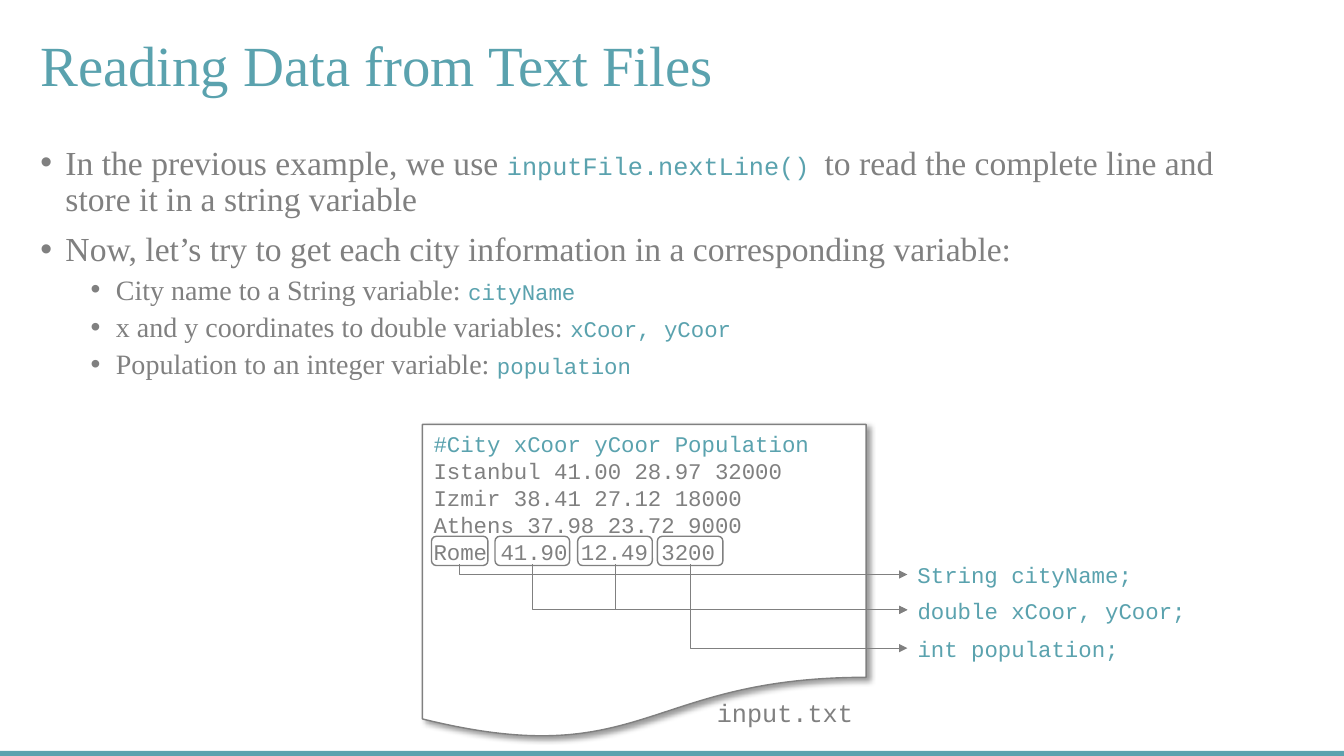
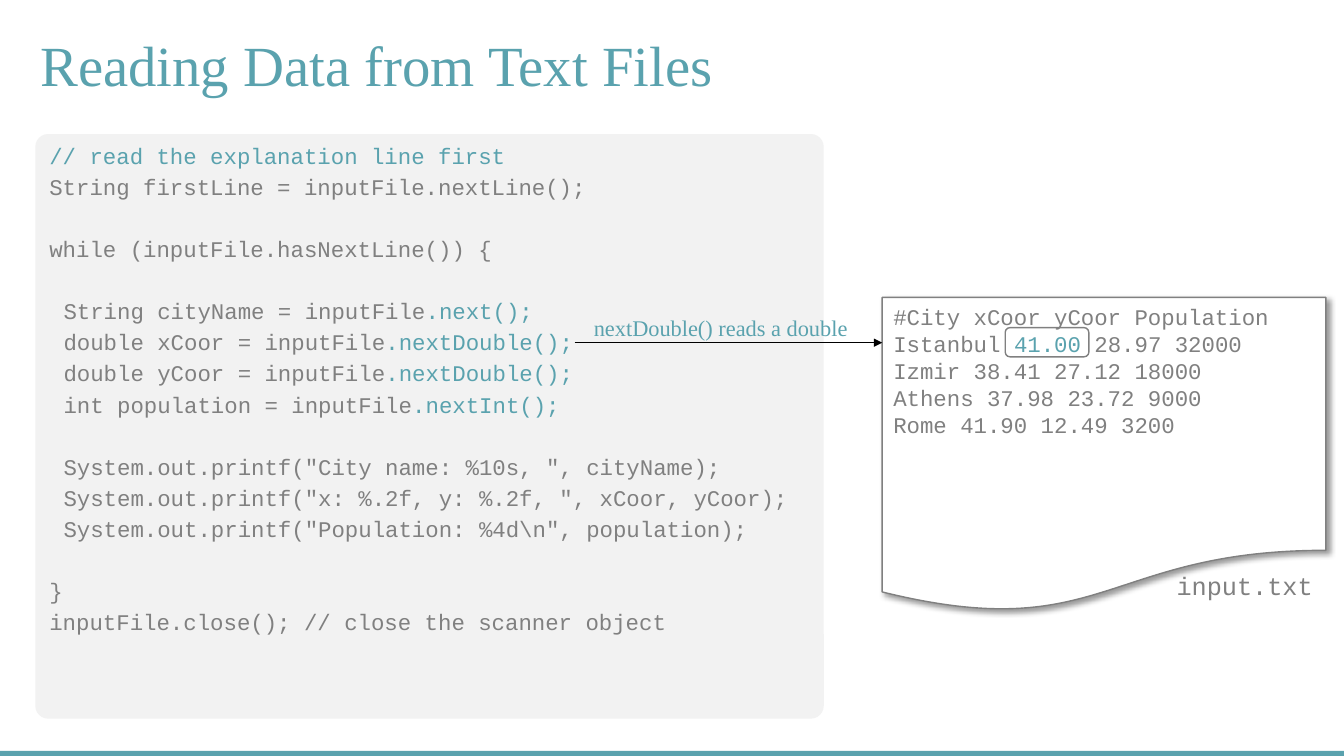
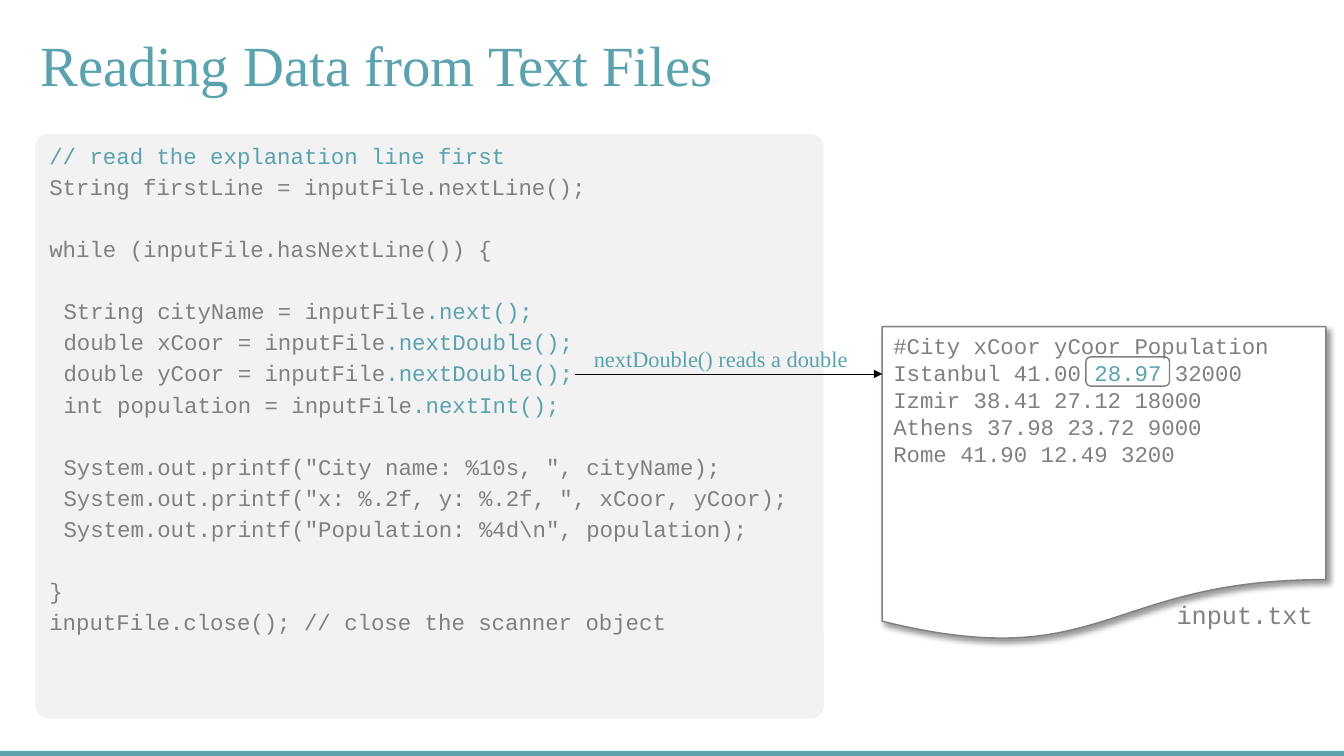
"""Builds three slides on reading data from text files."""
from lxml.etree import SubElement
from pptx import Presentation
from pptx.dml.color import RGBColor
from pptx.enum.shapes import MSO_CONNECTOR, MSO_SHAPE
from pptx.enum.text import MSO_ANCHOR
from pptx.oxml import parse_xml
from pptx.oxml.ns import nsdecls, qn
from pptx.util import Inches, Pt

TEAL, GREY, PALE, WHITE, BLACK = "5AA2AE", "808080", "F2F2F2", "FFFFFF", "000000"
SERIF, MONO = "Times New Roman", "Courier New"
TITLE = "Reading Data from Text Files"

POINTS = [
    (0, "In the previous example, we use `inputFile.nextLine() `to read the complete line and store it in a string variable"),
    (0, "Now, let’s try to get each city information in a corresponding variable:"),
    (1, "City name to a String variable: `cityName`"),
    (1, "x and y coordinates to double variables: `xCoor, yCoor`"),
    (1, "Population to an integer variable: `population`"),
]
LEVELS = [
    {"size": 24, "code": 18, "left": 0.25, "gap": 10},
    {"size": 20, "code": 16, "left": 0.75, "gap": 5},
]
CITIES = [
    "#City xCoor yCoor Population",
    "Istanbul 41.00 28.97 32000",
    "Izmir 38.41 27.12 18000",
    "Athens 37.98 23.72 9000",
    "Rome 41.90 12.49 3200",
]
FIELDS = [(4.28, 0.56, 5.7), (4.91, 0.74, 6.05), (5.73, 0.74, 6.05), (6.52, 0.65, 6.43)]
TYPES = [("String cityName;", 5.7), ("double xCoor, yCoor;", 6.05), ("int population;", 6.43)]
CODE = [
    ["`// read the explanation line first`",
     "String firstLine = inputFile.nextLine();"],
    ["while (inputFile.hasNextLine()) {"],
    ["> String cityName = inputFile`.next();`",
     "> double xCoor = inputFile`.nextDouble();`",
     "> double yCoor = inputFile`.nextDouble();`",
     "> int population = inputFile`.nextInt();`"],
    ["> System.out.printf(\"City name: %10s, \", cityName);",
     "> System.out.printf(\"x: %.2f, y: %.2f, \", xCoor, yCoor);",
     "> System.out.printf(\"Population: %4d\\n\", population);"],
    ["}",
     "inputFile.close(); // close the scanner object"],
]
READS = [
    {"value": "41.00", "top": 2.95, "ring": 9.97, "arrow": 3.4},
    {"value": "28.97", "top": 3.24, "ring": 10.77, "arrow": 3.71},
]
GAP, BREAK = 3, 25.2


def color(code):
    return RGBColor.from_string(code)


def area(*box):
    return [Inches(n) for n in box]


def shape(slide, kind, box, fill=None, line=None, round=None):
    item = slide.shapes.add_shape(kind, *area(*box))
    item.shadow.inherit = False
    if round is not None:
        item.adjustments[0] = round
    paint(item, fill, line, 1)
    return item


def paint(item, fill, line, width):
    if fill:
        item.fill.solid()
        item.fill.fore_color.rgb = color(fill)
    else:
        item.fill.background()
    if line:
        item.line.color.rgb = color(line)
        item.line.width = Pt(width)
    else:
        item.line.fill.background()


def frame(slide, box, wrap=True):
    text = slide.shapes.add_textbox(*area(*box)).text_frame
    text.word_wrap = wrap
    text.margin_left = text.margin_right = Inches(0.05)
    text.margin_top = text.margin_bottom = Inches(0.05)
    return text


def fill_para(para, words, size, font=MONO, code=None):
    for index, part in enumerate(words.split("`")):
        if part:
            run = para.add_run()
            run.text = part
            accent = index % 2 == 1
            run.font.size = Pt(code if accent and code else size)
            run.font.name = MONO if accent else font
            run.font.color.rgb = color(TEAL if accent else GREY)


def paras(text, lines):
    for index, line in enumerate(lines):
        yield text.add_paragraph() if index else text.paragraphs[0], line


def label(slide, box, words, size, font=MONO, tint=TEAL, wrap=False):
    text = frame(slide, box, wrap)
    para = text.paragraphs[0]
    para.text = words
    style = para.runs[0].font
    style.size, style.name, style.color.rgb = Pt(size), font, color(tint)
    return text


def arrow_tip(item):
    SubElement(item.line._get_or_add_ln(), qn("a:tailEnd"), type="triangle")


def start(deck):
    slide = deck.slides.add_slide(deck.slide_layouts[6])
    shape(slide, MSO_SHAPE.RECTANGLE, (-0.01, 7.45, 13.35, 0.1), TEAL)
    text = label(slide, (0.35, 0.3, 12.44, 0.76), TITLE, 40.5, SERIF, wrap=True)
    text.vertical_anchor = MSO_ANCHOR.MIDDLE
    text.paragraphs[0].line_spacing = 0.9
    return slide


def page(slide, left, top, lines):
    sheet = shape(slide, MSO_SHAPE.FLOWCHART_DOCUMENT, (left, top, 4.4, 3.13), WHITE, GREY)
    effect = sheet._element.spPr.find(qn("a:effectLst"))
    effect.append(parse_xml(
        f'<a:outerShdw {nsdecls("a")} blurRad="{Pt(4)}" dist="{Pt(3)}" dir="2700000" '
        f'algn="tl" rotWithShape="0"><a:srgbClr val="{BLACK}"><a:alpha val="40000"/>'
        '</a:srgbClr></a:outerShdw>'))
    for para, line in paras(frame(slide, (left + 0.06, top + 0.01, 4.28, 1.68)), lines):
        fill_para(para, line, 16)
    label(slide, (left + 2.87, top + 2.66, 1.47, 0.39), "input.txt", 18, tint=GREY)


def ring(slide, left, top, width, row):
    box = (left, top + 0.03 + 0.27 * row, width, 0.29)
    shape(slide, MSO_SHAPE.ROUNDED_RECTANGLE, box, None, GREY, 0.167)


def elbow(slide, left, top, drop, right):
    x, y, low, end = area(left, top, drop, right)
    build = slide.shapes.build_freeform(x, y)
    build.add_line_segments([(x, low), (end, low)], close=False)
    path = build.convert_to_shape()
    path.shadow.inherit = False
    paint(path, None, GREY, 0.5)
    arrow_tip(path)


def bullets(slide):
    text = frame(slide, (0.35, 1.4, 12.44, 2.6))
    for para, (level, words) in paras(text, POINTS):
        look = LEVELS[level]
        para.level = level
        para.line_spacing = 0.9
        para.space_before = Pt(look["gap"])
        fill_para(para, words, look["size"], SERIF, look["code"])
        props = para._p.get_or_add_pPr()
        props.set("marL", str(Inches(look["left"])))
        props.set("indent", str(Inches(-0.25)))
        SubElement(props, qn("a:buClr")).append(
            parse_xml(f'<a:srgbClr {nsdecls("a")} val="{GREY}"/>'))
        SubElement(props, qn("a:buFont"), typeface="Arial")
        SubElement(props, qn("a:buChar"), char="•")


def listing(slide):
    shape(slide, MSO_SHAPE.ROUNDED_RECTANGLE, (0.35, 1.33, 7.82, 5.8), PALE, round=0.022)
    lines = [(line, BREAK if block and not row else GAP)
             for block, part in enumerate(CODE) for row, line in enumerate(part)]
    for para, (line, gap) in paras(frame(slide, (0.44, 1.36, 7.64, 4.95)), lines):
        para.space_before = Pt(gap)
        if line.startswith("> "):
            para._p.get_or_add_pPr().set("marL", str(Inches(0.14)))
        fill_para(para, line.removeprefix("> "), 16)


def intro(deck):
    slide = start(deck)
    bullets(slide)
    top = 4.21
    page(slide, 4.19, top, [f"`{CITIES[0]}`"] + CITIES[1:])
    for left, width, drop in FIELDS:
        ring(slide, left, top, width, 4)
        elbow(slide, left + width / 2, 5.6, drop, 9)
    for words, y in TYPES:
        label(slide, (9.05, y - 0.18, 0.1 + 0.134 * len(words), 0.36), words, 16)


def reading(deck, value, top, ring_left, y):
    slide = start(deck)
    listing(slide)
    row = CITIES[1].replace(value, f"`{value}`")
    page(slide, 8.75, top, [CITIES[0], row] + CITIES[2:])
    ring(slide, ring_left, top, 0.83, 1)
    link = slide.shapes.add_connector(MSO_CONNECTOR.STRAIGHT, *area(5.7, y, 8.75, y))
    link.line.color.rgb = color(BLACK)
    link.line.width = Pt(0.5)
    arrow_tip(link)
    SubElement(link._element.spPr, qn("a:effectLst"))
    label(slide, (5.84, y - 0.33, 2.64, 0.36), "nextDouble() reads a double", 16, SERIF)


def main():
    deck = Presentation()
    deck.slide_width, deck.slide_height = area(13.33, 7.5)
    intro(deck)
    for read in READS:
        reading(deck, read["value"], read["top"], read["ring"], read["arrow"])
    deck.save("out.pptx")


if __name__ == "__main__":
    main()
